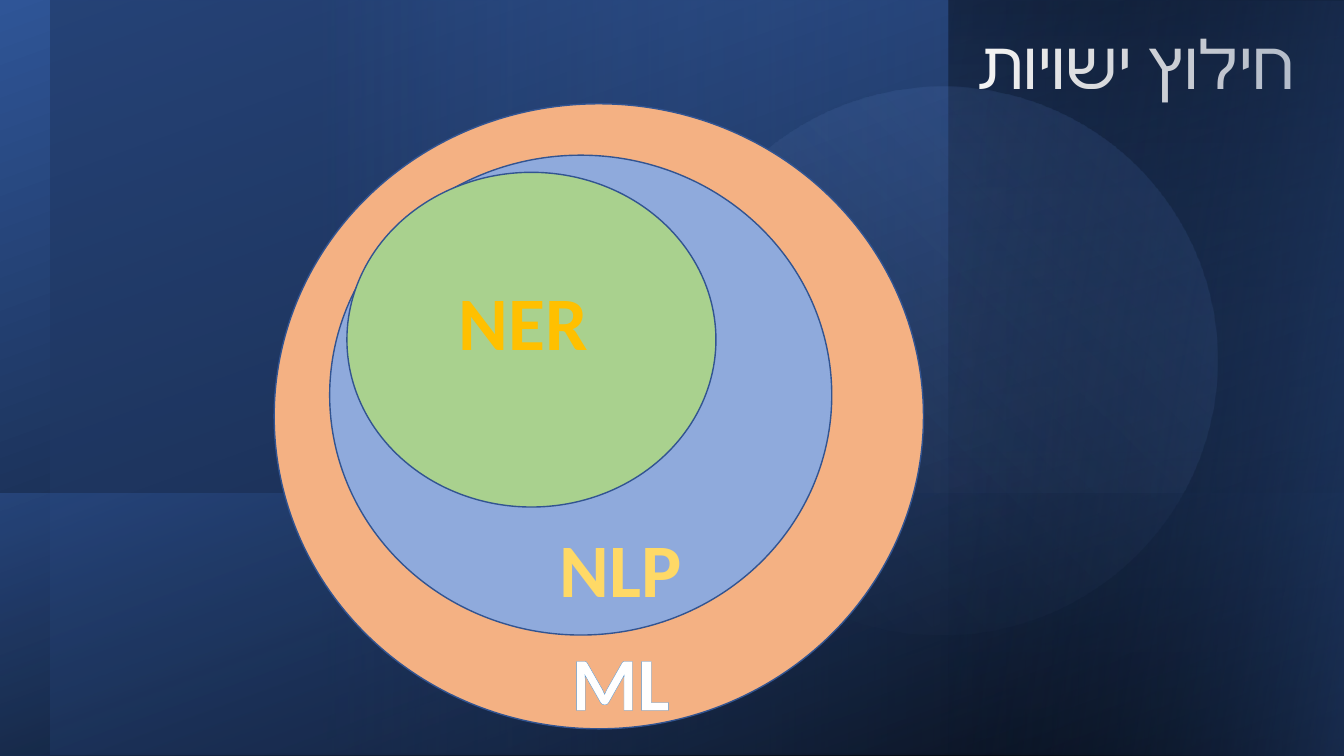
from lxml import etree
from pptx import Presentation
from pptx import util as u
from pptx.dml.color import RGBColor
from pptx.enum import dml, shapes, text
from pptx.oxml.ns import qn

WIDTH, HEIGHT = u.Inches(13.33), u.Inches(7.5)
FONT = "Calibri"
RECT, OVAL = shapes.MSO_SHAPE.RECTANGLE, shapes.MSO_SHAPE.OVAL


def rgb(value):
    """Turn a hex string into a colour."""
    return RGBColor.from_string(value)


def box(x, y, w, h):
    """Turn percentages of the slide into left, top, width and height."""
    return [int(side * share / 100) for side, share in zip((WIDTH, HEIGHT) * 2, (x, y, w, h))]


def gradient(angle, *stops):
    """Build a linear gradient from (position, colour, opacity) stops."""
    grad = etree.Element(qn("a:gradFill"), rotWithShape="1")
    stop_list = etree.SubElement(grad, qn("a:gsLst"))
    for position, colour, opacity in stops:
        gs = etree.SubElement(stop_list, qn("a:gs"), pos=str(position * 1000))
        clr = etree.SubElement(gs, qn("a:srgbClr"), val=colour)
        etree.SubElement(clr, qn("a:alpha"), val=str(opacity * 1000))
    etree.SubElement(grad, qn("a:lin"), ang=str(angle * 60000), scaled="0")
    return grad


def add_panel(s, kind, place, grad, rotation=0, flip=False):
    """Add a borderless background shape with a gradient."""
    sp = s.shapes.add_shape(kind, *box(*place))
    sp.shadow.inherit = False
    sp.line.fill.background()
    sp.rotation = rotation
    sp_pr = sp.element.spPr
    if flip:
        sp_pr.find(qn("a:xfrm")).set("flipH", "1")
    sp_pr.find(qn("a:prstGeom")).addnext(grad)


def add_title(s, content, place):
    """Place the title above the shapes added so far."""
    sp = s.shapes.title
    sp.element.getparent().append(sp.element)
    sp.left, sp.top, sp.width, sp.height = box(*place)
    tf = sp.text_frame
    tf.text = content
    tf.word_wrap = True
    tf.auto_size = text.MSO_AUTO_SIZE.NONE
    tf.vertical_anchor = text.MSO_ANCHOR.BOTTOM
    p = tf.paragraphs[0]
    p.alignment = text.PP_ALIGN.RIGHT
    p.line_spacing = 0.9
    p.space_after = u.Pt(6)
    p.font.name, p.font.size = FONT, u.Pt(48)
    p.font.color.rgb = rgb("FFFFFF")
    p._p.get_or_add_pPr().set("rtl", "1")


def add_set(s, place, colour):
    """Add one outlined ellipse of the nested sets."""
    sp = s.shapes.add_shape(OVAL, *box(*place))
    sp.shadow.inherit = False
    sp.fill.solid()
    sp.fill.fore_color.rgb = rgb(colour)
    sp.line.color.rgb = rgb("325491")
    sp.line.width = u.Pt(1)


def add_label(s, content, place):
    """Add a bold set name and return its run."""
    tf = s.shapes.add_textbox(*box(*place)).text_frame
    tf.word_wrap = False
    tf.auto_size = text.MSO_AUTO_SIZE.SHAPE_TO_FIT_TEXT
    p = tf.paragraphs[0]
    p.alignment = text.PP_ALIGN.CENTER
    p.font.name, p.font.size, p.font.bold = FONT, u.Pt(54), True
    r = p.add_run()
    r.text = content
    return r


def outline(r, colour):
    """Draw a one-point outline around the letters of a run."""
    ln = etree.Element(qn("a:ln"), w=str(u.Pt(1)))
    fill = etree.SubElement(ln, qn("a:solidFill"))
    etree.SubElement(fill, qn("a:srgbClr"), val=colour)
    r.font._element.insert(0, ln)


def add_background(s):
    """Add the layers that lie under the title."""
    add_panel(s, RECT, (0, 0, 100, 100),
              gradient(250, (0, "000000", 100), (100, "2F5597", 100)))
    add_panel(s, RECT, (3.75, 0, 96.25, 99.73),
              gradient(0, (21, "203864", 61), (100, "4472C4", 0)), 180, True)
    add_panel(s, RECT, (70.59, 0, 29.41, 100),
              gradient(270, (0, "2F5597", 0), (99, "000000", 41)))
    add_panel(s, OVAL, (49.74, 11.33, 40.74, 72.8),
              gradient(240, (0, "4472C4", 24), (79, "8FAADC", 0)), 254.6)


def add_overlays(s):
    """Add the translucent layers that lie over the title."""
    add_panel(s, RECT, (0, 65.33, 100, 34.67),
              gradient(290, (0, "2F5597", 50), (99, "000000", 34)), 180, True)
    add_panel(s, RECT, (57.16, 23.87, 56.26, 52.4),
              gradient(260, (0, "2F5597", 50), (99, "000000", 0)), 270, True)


def add_labels(s):
    """Name the three nested sets."""
    ml = add_label(s, "ML", (41.71, 83.33, 8.93, 13.47))
    fill = ml.font.fill
    fill.patterned()
    fill.pattern = dml.MSO_PATTERN.LIGHT_DOWNWARD_DIAGONAL
    fill.fore_color.rgb, fill.back_color.rgb = rgb("9DC3E6"), rgb("FFFFFF")
    outline(ml, "5B9BD5")

    nlp = add_label(s, "NLP", (40.81, 68.4, 10.73, 13.47))
    nlp.font._element.insert(0, gradient(
        90, (0, "FFC000", 100), (4, "FFD966", 100), (87, "FFF2CC", 100)))
    outline(nlp, "FFC000")

    ner = add_label(s, "NER", (33.31, 35.73, 11.25, 13.47))
    ner.font.color.rgb = rgb("FFC000")


def main():
    """Build the slide and save it."""
    prs = Presentation()
    prs.slide_width, prs.slide_height = WIDTH, HEIGHT
    s = prs.slides.add_slide(prs.slide_layouts[5])
    add_background(s)
    add_title(s, "חילוץ ישויות", (37.88, 2.93, 59.19, 11.47))
    add_overlays(s)
    add_set(s, (20.4, 13.73, 48.31, 82.67), "F4B183")
    add_set(s, (24.53, 20.53, 37.36, 63.47), "8FAADC")
    add_set(s, (25.81, 22.8, 27.46, 44.27), "A9D18E")
    add_labels(s)
    prs.save("out.pptx")


if __name__ == "__main__":
    main()
